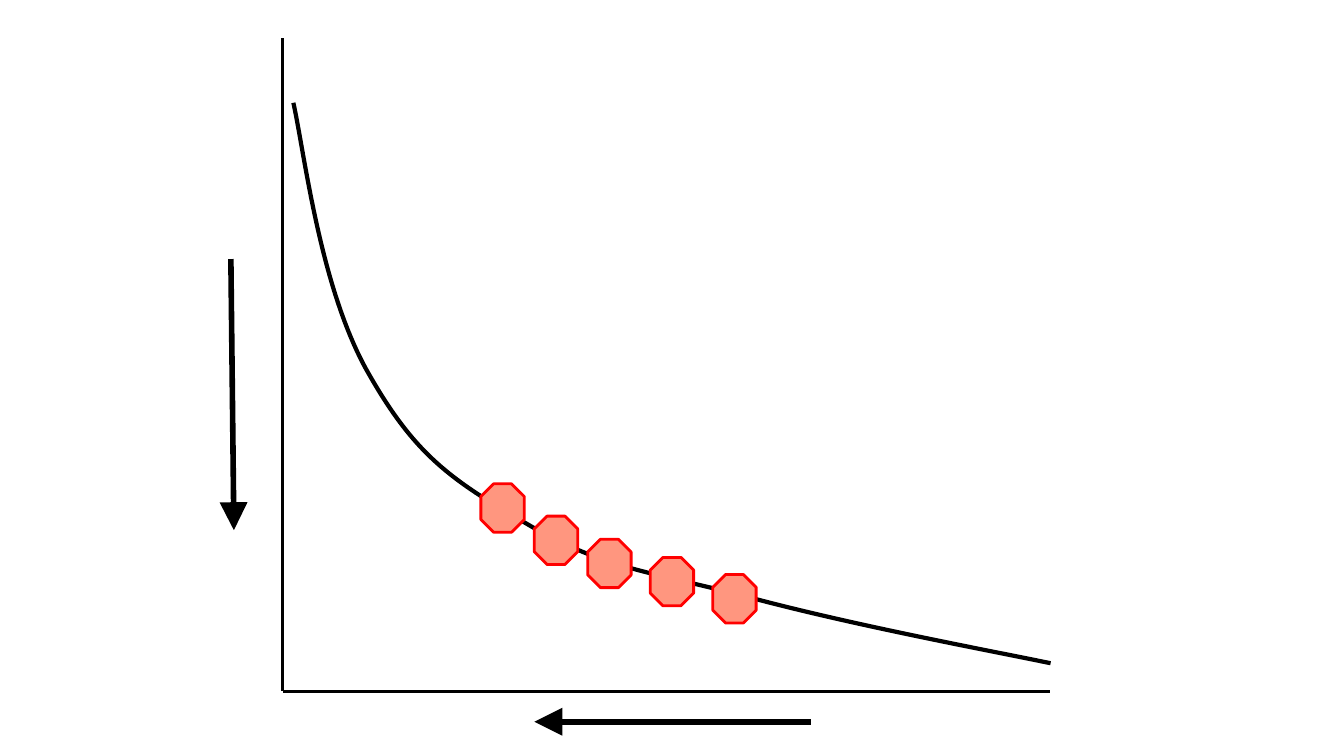
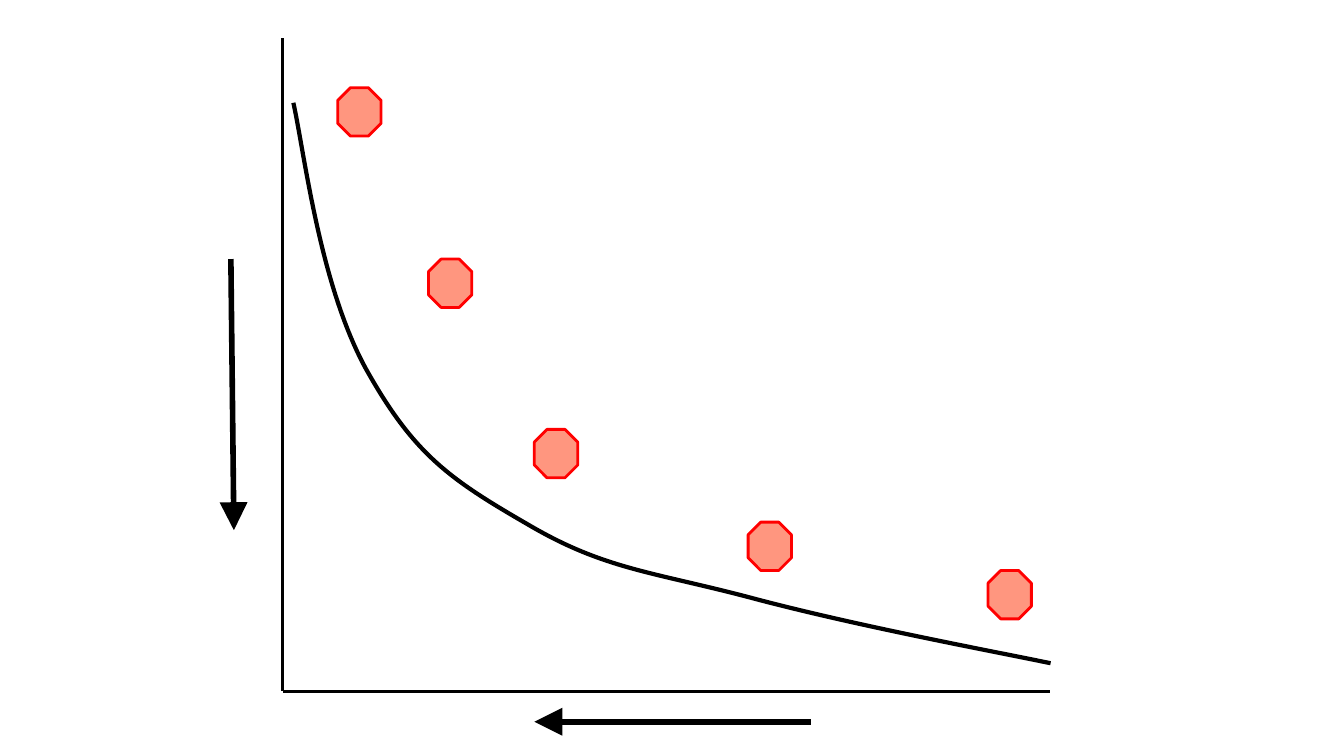
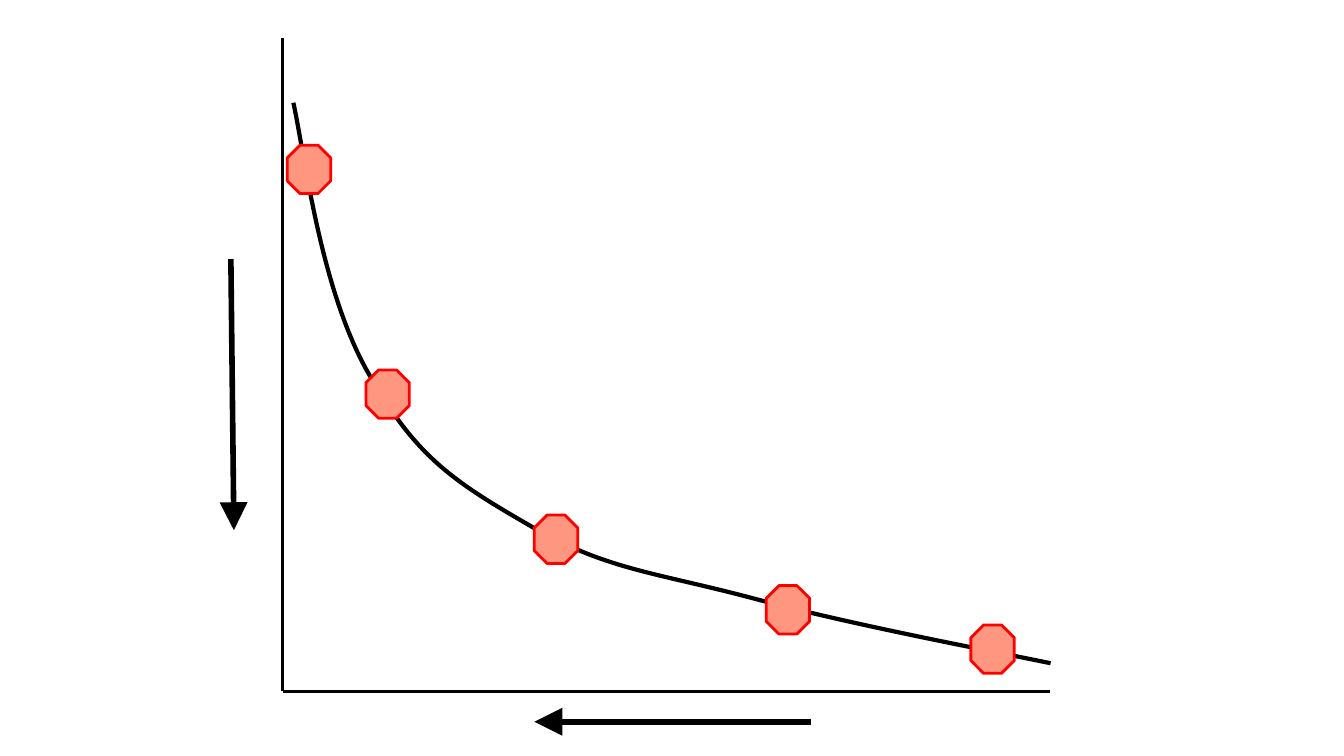
from dataclasses import dataclass

from lxml import etree
from pptx import Presentation
from pptx.dml.color import RGBColor
from pptx.enum import shapes
from pptx.oxml.ns import qn
from pptx.util import Inches, Pt


@dataclass(frozen=True)
class Theme:
    ink: RGBColor = RGBColor(0x00, 0x00, 0x00)
    marker_fill: RGBColor = RGBColor(0xFF, 0x96, 0x7F)
    marker_line: RGBColor = RGBColor(0xFF, 0x00, 0x00)
    thin: int = Pt(2)
    medium: int = Pt(3)
    thick: int = Pt(4)
    marker_width: int = Inches(0.43)
    marker_height: int = Inches(0.48)


CURVE_START = (2.91, 1.02)
CURVE_SEGMENTS = [
    ((3.02, 1.52), (3.17, 2.82), (3.63, 3.66)),
    ((4.1, 4.5), (4.45, 4.75), (5.23, 5.2)),
    ((6.01, 5.66), (6.48, 5.67), (7.52, 5.95)),
    ((8.55, 6.22), (9.84, 6.46), (10.42, 6.58)),
]
AXES = [((2.8, 0.38), (2.8, 6.86)), ((2.81, 6.86), (10.41, 6.86))]
ARROWS = [((8.04, 7.16), (5.3, 7.16)), ((2.29, 2.57), (2.32, 5.26))]

MARKERS_BY_SLIDE = [
    [(5.3, 5.12), (4.77, 4.8), (5.83, 5.35), (7.07, 5.7), (6.45, 5.53)],
    [(3.35, 0.87), (4.25, 2.57), (5.3, 4.26), (9.8, 5.66), (7.42, 5.18)],
    [(2.85, 1.44), (3.63, 3.67), (5.3, 5.11), (9.63, 6.2), (7.6, 5.81)],
]


class Deck:
    def __init__(self, theme):
        self.theme = theme
        self.presentation = Presentation()
        self.presentation.slide_width = Inches(13.33)
        self.presentation.slide_height = Inches(7.5)
        self.slide = None

    def add_slide(self):
        self.slide = self.presentation.slides.add_slide(self.presentation.slide_layouts[6])

    def set_line(self, shape, color, width):
        shape.line.color.rgb = color
        shape.line.width = width

    def curve(self, start, segments):
        left, top = map(Inches, start)
        builder = self.slide.shapes.build_freeform(left, top)
        anchors = [tuple(map(Inches, segment[-1])) for segment in segments]
        builder.add_line_segments(anchors, close=False)
        shape = builder.convert_to_shape()
        straight_parts = list(shape._element.iter(qn("a:lnTo")))
        for straight, segment in zip(straight_parts, segments):
            bezier = etree.Element(qn("a:cubicBezTo"))
            for x, y in segment:
                etree.SubElement(
                    bezier, qn("a:pt"), x=str(Inches(x) - left), y=str(Inches(y) - top)
                )
            straight.getparent().replace(straight, bezier)
        shape.shadow.inherit = False
        shape.fill.background()
        self.set_line(shape, self.theme.ink, self.theme.medium)

    def line(self, start, end, width):
        connector = self.slide.shapes.add_connector(
            shapes.MSO_CONNECTOR.STRAIGHT, *map(Inches, start + end)
        )
        self.set_line(connector, self.theme.ink, width)
        etree.SubElement(connector._element.spPr, qn("a:effectLst"))
        return connector

    def axis(self, start, end):
        self.line(start, end, self.theme.thin)

    def arrow(self, start, end):
        connector = self.line(start, end, self.theme.thick)
        outline = connector.line._get_or_add_ln()
        etree.SubElement(outline, qn("a:tailEnd"), type="triangle", w="lg", len="lg")

    def marker(self, left, top):
        shape = self.slide.shapes.add_shape(
            shapes.MSO_SHAPE.OCTAGON,
            Inches(left),
            Inches(top),
            self.theme.marker_width,
            self.theme.marker_height,
        )
        shape.shadow.inherit = False
        shape.fill.solid()
        shape.fill.fore_color.rgb = self.theme.marker_fill
        self.set_line(shape, self.theme.marker_line, self.theme.thin)


def main():
    deck = Deck(Theme())
    for markers in MARKERS_BY_SLIDE:
        deck.add_slide()
        deck.curve(CURVE_START, CURVE_SEGMENTS)
        for start, end in AXES:
            deck.axis(start, end)
        for start, end in ARROWS:
            deck.arrow(start, end)
        for left, top in markers:
            deck.marker(left, top)
    deck.presentation.save("out.pptx")


if __name__ == "__main__":
    main()
